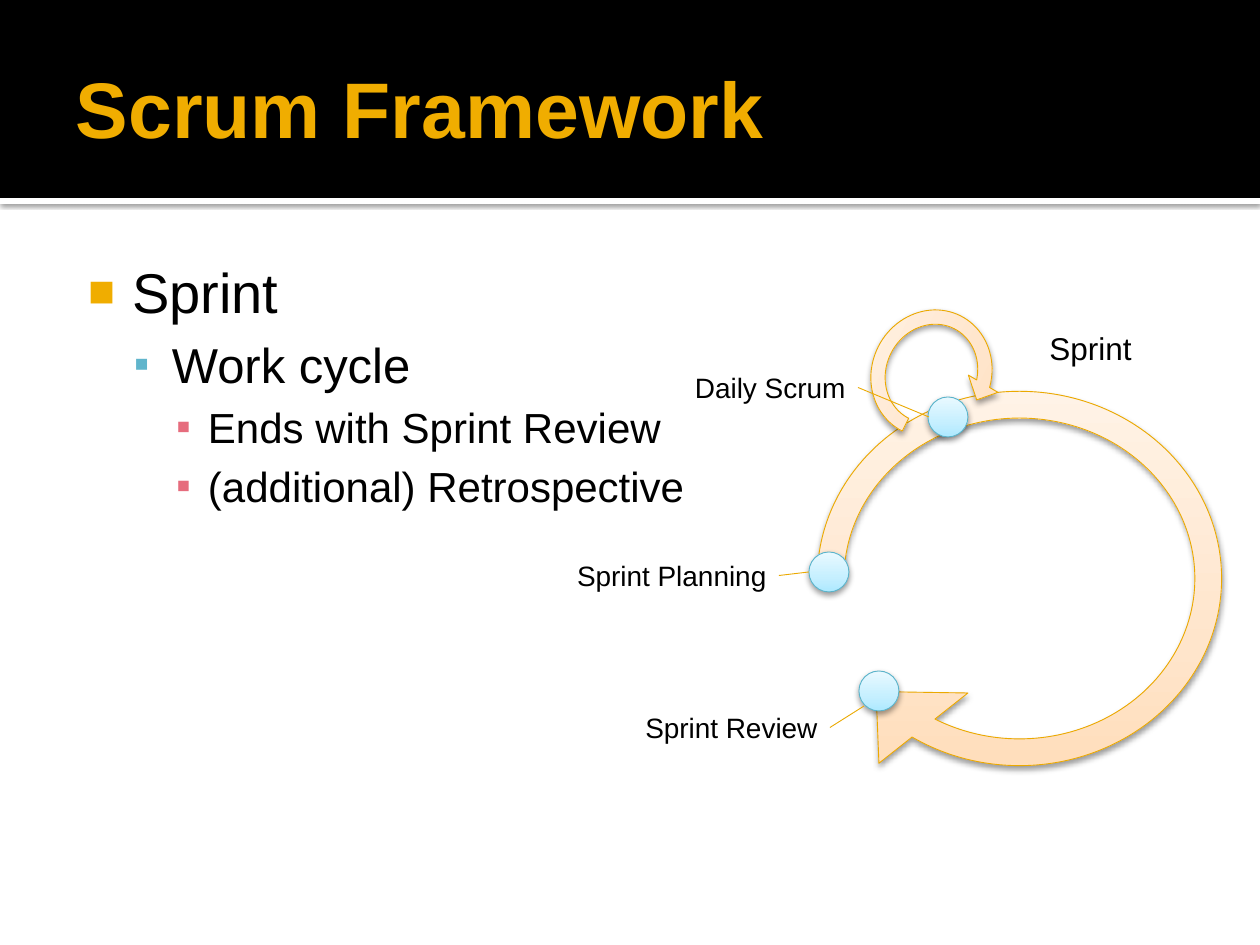
"""Build the Scrum Framework slide with its sprint cycle diagram."""
from copy import deepcopy

from lxml import etree
from pptx import Presentation
from pptx import util as u
from pptx.dml.color import RGBColor
from pptx.enum import shapes, text
from pptx.oxml import ns

PX = 914400 / 126
BLACK = RGBColor(0x00, 0x00, 0x00)
WHITE = RGBColor(0xFF, 0xFF, 0xFF)
GOLD = RGBColor(0xF0, 0xAD, 0x00)
BLUE = RGBColor(0x60, 0xB5, 0xCC)
PINK = RGBColor(0xE6, 0x6C, 0x7D)
GOLD_LINE = RGBColor(0xEB, 0xA9, 0x00)
BLUE_LINE = RGBColor(0x5B, 0xB3, 0xCA)
PEACH_STOPS = [RGBColor(0xFF, 0xDB, 0xB5), RGBColor(0xFF, 0xE5, 0xCB), RGBColor(0xFF, 0xF5, 0xEB)]
SKY_STOPS = [RGBColor(0xAD, 0xE9, 0xFF), RGBColor(0xC5, 0xEF, 0xFF), RGBColor(0xE9, 0xF9, 0xFF)]


def add_styled(kind, area, colors, outline, shadow):
    """Add a shape with a plain or three-stop fill and an optional shadow."""
    shape = page.shapes.add_shape(kind, *(round(n * PX) for n in area))
    if len(colors) == 1:
        shape.fill.solid()
        shape.fill.fore_color.rgb = colors[0]
    else:
        shape.fill.gradient()
        shape.fill.gradient_angle = 90
        stop_list = shape.element.spPr.find(".//" + ns.qn("a:gsLst"))
        stop_list.append(deepcopy(stop_list[0]))
        for stop, position, color in zip(shape.fill.gradient_stops, (0, 0.35, 1), colors):
            stop.position = position
            stop.color.rgb = color
    if outline is None:
        shape.line.fill.background()
    else:
        shape.line.color.rgb = outline
        shape.line.width = u.Pt(0.5)
    shape.shadow.inherit = False
    if shadow:
        blur, distance, alpha = shadow
        effects = shape.element.spPr.find(ns.qn("a:effectLst"))
        outer = etree.SubElement(effects, ns.qn("a:outerShdw"), blurRad=str(u.Pt(blur)),
                                 dist=str(u.Pt(distance)), dir="5400000", rotWithShape="0")
        tint = etree.SubElement(outer, ns.qn("a:srgbClr"), val=str(BLACK))
        etree.SubElement(tint, ns.qn("a:alpha"), val=str(alpha * 1000))
    return shape


def add_span(para, words, size, color):
    """Add one run of Arial text to a paragraph."""
    span = para.add_run()
    span.text = words
    span.font.name = "Arial"
    span.font.size = u.Pt(size)
    span.font.color.rgb = color
    return span


deck = Presentation()
deck.slide_width, deck.slide_height = round(1260 * PX), round(945 * PX)
page = deck.slides.add_slide(deck.slide_layouts[1])
title, body = page.placeholders

bands = [((0, 198, 1260, 6), WHITE, (2.5, 0.8, 60)), ((0, 0, 1260, 198), BLACK, None)]
for index, (area, color, shadow) in enumerate(bands):
    band = add_styled(shapes.MSO_SHAPE.RECTANGLE, area, [color], None, shadow)
    page.shapes.element.insert(2 + index, band.element)

placements = [(title, (63, 21, 1134, 173), (13, 6, 6, 6)),
              (body, (63, 244, 1134, 638), (8, 13, 13, 6))]
for box, area, insets in placements:
    box.left, box.top, box.width, box.height = (round(n * PX) for n in area)
    frame = box.text_frame
    frame.margin_left, frame.margin_top, frame.margin_right, frame.margin_bottom = (
        round(n * PX) for n in insets)
    frame.auto_size = text.MSO_AUTO_SIZE.NONE
    frame.word_wrap = True

title.text_frame.vertical_anchor = text.MSO_ANCHOR.MIDDLE
heading = title.text_frame.paragraphs[0]
heading.alignment = text.PP_ALIGN.LEFT
add_span(heading, "Scrum Framework", 45, GOLD).font.bold = True

levels = [(61, 44, "■", GOLD, 80, 32), (101, 38, "▪", BLUE, 90, 28), (137, 32, "▪", PINK, 100, 24)]
points = [("Sprint", 0), ("Work cycle", 1), ("Ends with Sprint Review", 2),
          ("(additional) Retrospective", 2)]
for index, (words, level) in enumerate(points):
    margin, hang, mark, color, percent, size = levels[level]
    para = body.text_frame.add_paragraph() if index else body.text_frame.paragraphs[0]
    para.level = level
    if index == 0:
        para.space_before = u.Pt(0)
    props = para._p.get_or_add_pPr()
    props.set("marL", str(round(margin * PX)))
    props.set("indent", str(round(-hang * PX)))
    bullet_color = etree.SubElement(props, ns.qn("a:buClr"))
    etree.SubElement(bullet_color, ns.qn("a:srgbClr"), val=str(color))
    etree.SubElement(props, ns.qn("a:buSzPct"), val=str(percent * 1000))
    etree.SubElement(props, ns.qn("a:buFont"), typeface="Arial")
    etree.SubElement(props, ns.qn("a:buChar"), char=mark)
    add_span(para, words, size, BLACK)

soft_shadow = (3.5, 2, 38)
cycles = [((774, 348, 491, 461), 0, 0.058, 73.61), ((857, 304, 149, 139), 296.9, 0.103, 44.585)]
for area, rotation, thickness, head_angle in cycles:
    cycle = add_styled(shapes.MSO_SHAPE.CIRCULAR_ARROW, area, PEACH_STOPS, GOLD_LINE, soft_shadow)
    cycle.rotation = rotation
    for index, value in enumerate((thickness, 11.423, head_angle, 108, 0.123)):
        cycle.adjustments[index] = value

events = [
    ("Sprint", (1037, 323, 108, 50), 18, None, None),
    ("Sprint Planning", (562, 552, 217, 47), 16, (809, 552), (809, 572)),
    ("Sprint Review", (631, 704, 199, 47), 16, (859, 671), (864, 706)),
    ("Daily Scrum", (680, 364, 178, 47), 16, (928, 397), (929, 417)),
]
for words, area, size, dot_corner, line_start in events:
    label = page.shapes.add_textbox(*(round(n * PX) for n in area))
    label.text_frame.word_wrap = False
    label.text_frame.auto_size = text.MSO_AUTO_SIZE.SHAPE_TO_FIT_TEXT
    para = label.text_frame.paragraphs[0]
    add_span(para, words, size, BLACK)
    if dot_corner:
        para.alignment = text.PP_ALIGN.RIGHT
        add_styled(shapes.MSO_SHAPE.OVAL, (*dot_corner, 40, 40), SKY_STOPS, BLUE_LINE, soft_shadow)
        start_x, start_y = (round(n * PX) for n in line_start)
        leader = page.shapes.add_connector(shapes.MSO_CONNECTOR.STRAIGHT,
                                           start_x, start_y, start_x, start_y)
        leader.end_connect(label, 3)
        leader.line.color.rgb = GOLD_LINE
        leader.line.width = u.Pt(0.5)
        etree.SubElement(leader.element.spPr, ns.qn("a:effectLst"))

deck.save("out.pptx")
